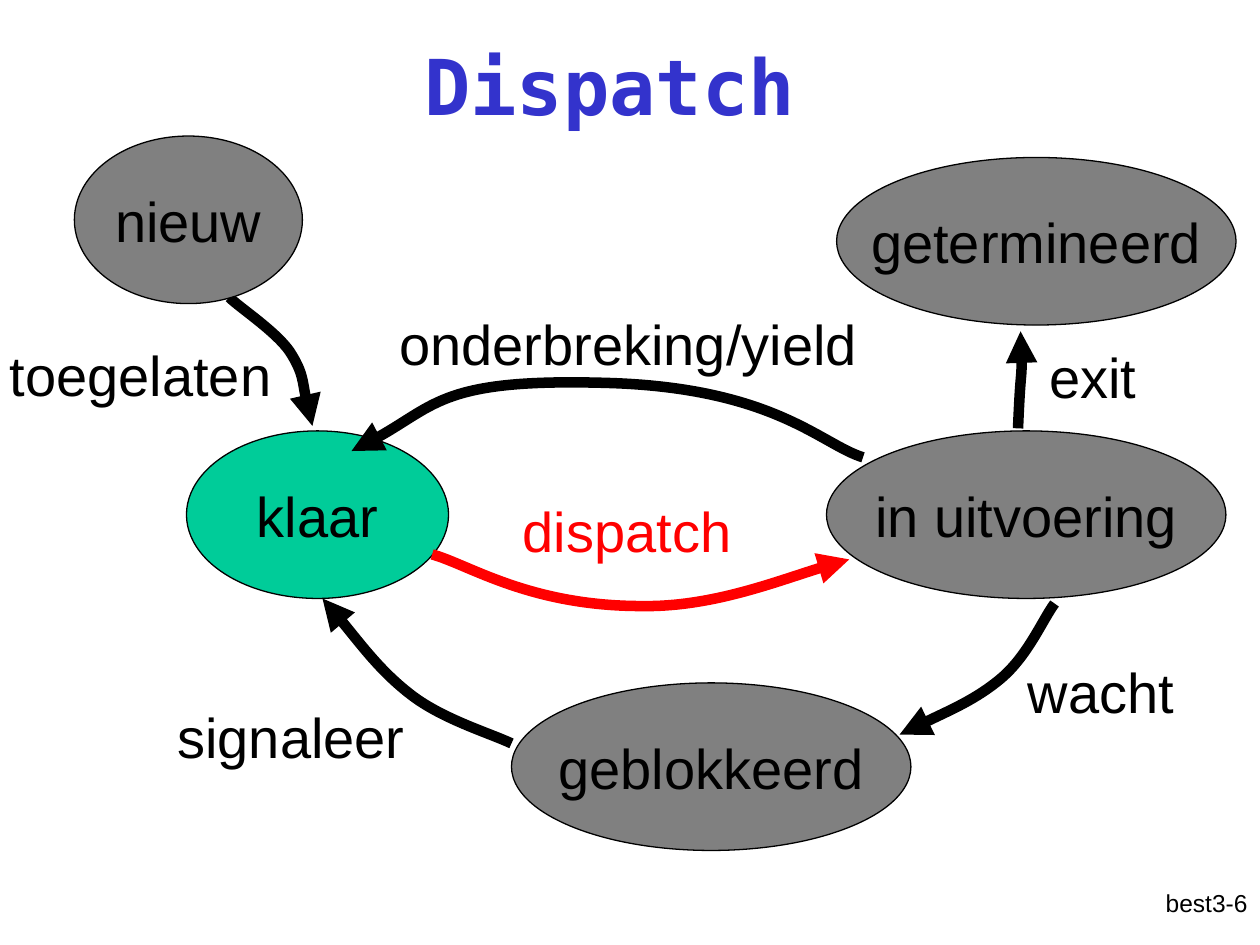
"""Builds the Dispatch slide: process states and the transitions between them."""
from lxml import etree
from pptx import Presentation
from pptx.dml.color import RGBColor
from pptx.enum.shapes import MSO_SHAPE
from pptx.enum.text import MSO_ANCHOR, PP_ALIGN
from pptx.oxml.ns import qn
from pptx.util import Inches, Pt

ELLIPSE = MSO_SHAPE.OVAL
MIDDLE, TOP = MSO_ANCHOR.MIDDLE, MSO_ANCHOR.TOP
LEFT, CENTER, RIGHT = PP_ALIGN.LEFT, PP_ALIGN.CENTER, PP_ALIGN.RIGHT

THEME = {
    "ink": RGBColor(0x00, 0x00, 0x00),
    "title": RGBColor(0x33, 0x33, 0xCC),
    "state": RGBColor(0x80, 0x80, 0x80),
    "ready": RGBColor(0x00, 0xCC, 0x99),
    "accent": RGBColor(0xFF, 0x00, 0x00),
    "body_font": "Arial",
    "title_font": "DejaVu Sans Mono",
    "title_size": Pt(44),
    "body_size": Pt(32),
    "footer_size": Pt(14),
    "outline": Pt(0.75),
    "arrow": Pt(6),
}
STATE_HEIGHT = 1.33
LABEL_HEIGHT = 0.64


def write(holder, text, align=LEFT, anchor=TOP, wrap=True, size="body_size",
          font="body_font", color="ink", bold=False):
    frame = holder.text_frame
    frame.word_wrap = wrap
    frame.vertical_anchor = anchor
    paragraph = frame.paragraphs[0]
    paragraph.alignment = align
    run = paragraph.add_run()
    run.text = text
    run.font.name = THEME[font]
    run.font.size = THEME[size]
    run.font.bold = bold
    run.font.color.rgb = THEME[color]


def draw_state(shapes, name, left, top, width, fill="state"):
    state = shapes.add_shape(ELLIPSE, Inches(left), Inches(top),
                             Inches(width), Inches(STATE_HEIGHT))
    state.shadow.inherit = False
    state.fill.solid()
    state.fill.fore_color.rgb = THEME[fill]
    state.line.color.rgb = THEME["ink"]
    state.line.width = THEME["outline"]
    write(state, name, CENTER, MIDDLE, wrap=False)


presentation = Presentation()
presentation.slide_width = Inches(10)
presentation.slide_height = Inches(7.5)
slide = presentation.slides.add_slide(presentation.slide_layouts[6])
shapes = slide.shapes

footer = shapes.add_textbox(Inches(7.92), Inches(7), Inches(2.08), Inches(0.5))
write(footer, "best3-6", RIGHT, size="footer_size")

title = shapes.add_textbox(Inches(0.59), Inches(0.05), Inches(8.5), Inches(1.25))
write(title, "Dispatch", CENTER, MIDDLE, size="title_size", font="title_font",
      color="title", bold=True)

draw_state(shapes, "klaar", 1.48, 3.42, 2.08, "ready")
draw_state(shapes, "geblokkeerd", 4.06, 5.42, 3.17)
draw_state(shapes, "in uitvoering", 6.56, 3.42, 3.17)
draw_state(shapes, "getermineerd", 6.64, 1.25, 3.17)

transitions = [
    ("toegelaten", (-0.02, 2.65, 2.5), "ink",
     [(1.82, 2.36), (1.9, 2.44), (2.19, 2.63), (2.3, 2.79),
      (2.41, 2.96), (2.44, 3.26), (2.48, 3.38)]),
    ("exit", (8.23, 2.67, 1.83), "ink",
     [(8.08, 3.4), (8.1, 2.92), (8.12, 3.04), (8.1, 2.63)]),
    ("wacht", (8.06, 5.17, 1.83), "ink",
     [(8.37, 4.79), (8.28, 4.91), (8.16, 5.2), (7.95, 5.38),
      (7.75, 5.55), (7.28, 5.76), (7.14, 5.83)]),
    ("signaleer", (1.31, 5.53, 2.17), "ink",
     [(4.06, 5.9), (3.89, 5.82), (3.52, 5.71), (3.27, 5.52),
      (3.02, 5.33), (2.68, 4.88), (2.56, 4.75)]),
    ("onderbreking/yield", (3.07, 2.41, 4.32), "ink",
     [(6.85, 3.63), (6.52, 3.53), (6.15, 3.08), (4.83, 3.04),
      (3.52, 3), (3.43, 3.27), (2.79, 3.58)]),
    ("dispatch", (4.05, 3.89, 1.89), "accent",
     [(3.43, 4.4), (3.72, 4.48), (4.2, 4.81), (5.09, 4.81),
      (5.64, 4.82), (6.46, 4.51), (6.74, 4.44)]),
]
for name, (left, top, width), color, points in transitions:
    start, *rest = [(Inches(x), Inches(y)) for x, y in points]
    builder = shapes.build_freeform(*start)
    builder.add_line_segments(rest, close=False)
    arrow = builder.convert_to_shape()
    arrow.shadow.inherit = False
    arrow.fill.background()
    arrow.line.color.rgb = THEME[color]
    arrow.line.width = THEME["arrow"]
    line = arrow.element.spPr.find(qn("a:ln"))
    etree.SubElement(line, qn("a:tailEnd"), type="triangle")

    outline = next(arrow.element.iter(qn("a:path")))
    segments = outline.findall(qn("a:lnTo"))
    for first in range(0, len(segments), 3):
        curve = etree.SubElement(outline, qn("a:cubicBezTo"))
        for segment in segments[first:first + 3]:
            curve.append(segment[0])
            outline.remove(segment)

    label = shapes.add_textbox(Inches(left), Inches(top),
                               Inches(width), Inches(LABEL_HEIGHT))
    write(label, name, color=color)

draw_state(shapes, "nieuw", 0.59, 1.08, 1.81)

presentation.save("out.pptx")
